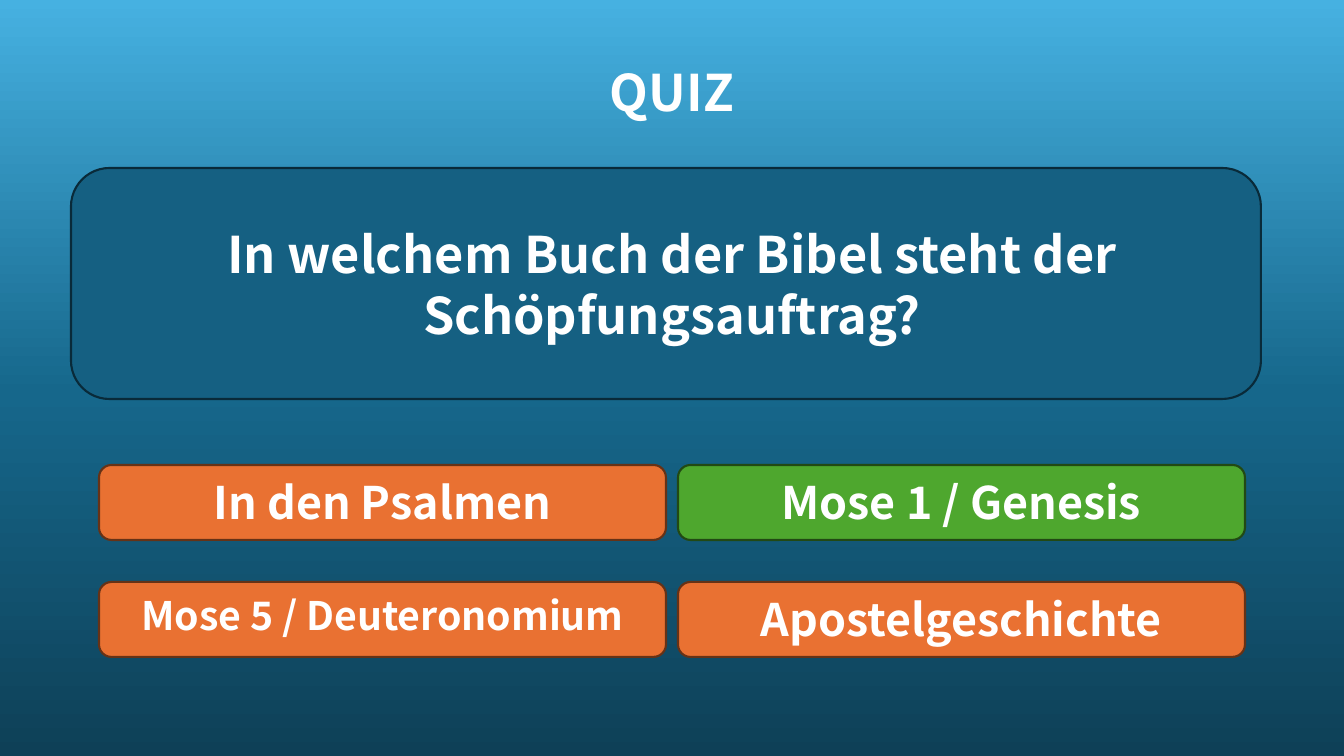
from copy import deepcopy
from dataclasses import dataclass

from pptx import Presentation
from pptx.dml.color import RGBColor
from pptx.enum.shapes import MSO_SHAPE
from pptx.enum.text import MSO_ANCHOR, PP_ALIGN
from pptx.util import Emu, Pt

SLIDE_WIDTH, SLIDE_HEIGHT = 1344, 756
EMU_PER_PX = 12192000 / SLIDE_WIDTH


def px(length):
    """Turn whole pixels into EMU."""
    return Emu(round(length * EMU_PER_PX))


@dataclass(frozen=True)
class Theme:
    """Hold the colours, font and type sizes of the quiz."""
    font: str = "Noto Sans CJK JP"
    text: str = "FFFFFF"
    sky: tuple = ((0, "46B1E1"), (0.52, "16678B"), (1, "0E4057"))
    question: tuple = ("156082", "092A39")
    wrong: tuple = ("E97132", "663216")
    right: tuple = ("4EA72E", "224914")
    heading_size: int = 36
    answer_size: int = 32
    long_answer_size: int = 28
    leading: float = 1.19
    outline: float = 1.5


class QuizSlide:
    """Draw quiz elements on one slide in one theme."""

    def __init__(self, presentation, theme):
        """Add a title-only slide."""
        self.theme = theme
        self.slide = presentation.slides.add_slide(presentation.slide_layouts[5])

    def set_wording(self, element, wording, size):
        """Set centred bold wording in an element."""
        frame = element.text_frame
        frame.text = wording
        frame.word_wrap = True
        frame.vertical_anchor = MSO_ANCHOR.MIDDLE
        frame.margin_left = frame.margin_right = px(10)
        frame.margin_top = frame.margin_bottom = px(5)
        paragraph = frame.paragraphs[0]
        paragraph.alignment = PP_ALIGN.CENTER
        paragraph.line_spacing = Pt(round(size * self.theme.leading))
        paragraph.space_before = Pt(0)
        font = paragraph.runs[0].font
        font.name = self.theme.font
        font.size = Pt(size)
        font.bold = True
        font.color.rgb = RGBColor.from_string(self.theme.text)

    def backdrop(self):
        """Cover the slide with the sky gradient, behind the title."""
        sky = self.slide.shapes.add_shape(
            MSO_SHAPE.RECTANGLE, 0, 0, px(SLIDE_WIDTH), px(SLIDE_HEIGHT))
        sky.shadow.inherit = False
        sky.line.fill.background()
        sky.fill.gradient()
        sky.fill.gradient_angle = 270
        last_stop = sky.fill.gradient_stops[-1]._gs
        last_stop.addnext(deepcopy(last_stop))
        for stop, (position, colour) in zip(sky.fill.gradient_stops, self.theme.sky):
            stop.position = position
            stop.color.rgb = RGBColor.from_string(colour)
        self.slide.shapes.title._element.addprevious(sky._element)

    def title(self, wording, box):
        """Move and format the title placeholder."""
        heading = self.slide.shapes.title
        heading.left, heading.top, heading.width, heading.height = map(px, box)
        self.set_wording(heading, wording, self.theme.heading_size)

    def panel(self, box, colours):
        """Draw a rounded panel with a dark outline."""
        fill, outline = colours
        panel = self.slide.shapes.add_shape(MSO_SHAPE.ROUNDED_RECTANGLE, *map(px, box))
        panel.shadow.inherit = False
        panel.fill.solid()
        panel.fill.fore_color.rgb = RGBColor.from_string(fill)
        panel.line.color.rgb = RGBColor.from_string(outline)
        panel.line.width = Pt(self.theme.outline)

    def label(self, wording, box, size):
        """Add a text box with centred wording."""
        self.set_wording(self.slide.shapes.add_textbox(*map(px, box)), wording, size)


def main():
    """Build the quiz slide and save it."""
    theme = Theme()
    presentation = Presentation()
    presentation.slide_width = px(SLIDE_WIDTH)
    presentation.slide_height = px(SLIDE_HEIGHT)
    quiz = QuizSlide(presentation, theme)
    quiz.backdrop()
    quiz.title("QUIZ", (77, 56, 1190, 72))
    quiz.panel((71, 168, 1190, 231), theme.question)
    quiz.label("In welchem Buch der Bibel steht der Schöpfungsauftrag?",
               (77, 218, 1190, 132), theme.heading_size)

    answers = (
        ("In den Psalmen", theme.wrong, theme.answer_size, 64),
        ("Mose 1 / Genesis", theme.right, theme.answer_size, 64),
        ("Mose 5 / Deuteronomium", theme.wrong, theme.long_answer_size, 57),
        ("Apostelgeschichte", theme.wrong, theme.answer_size, 64),
    )
    for index, (wording, colours, size, text_height) in enumerate(answers):
        row, column = divmod(index, 2)
        left, top = 99 + column * 579, 465 + row * 117
        quiz.panel((left, top, 567, 75), colours)
        quiz.label(wording, (left, top + 5, 567, text_height), size)
    presentation.save("out.pptx")


if __name__ == "__main__":
    main()
